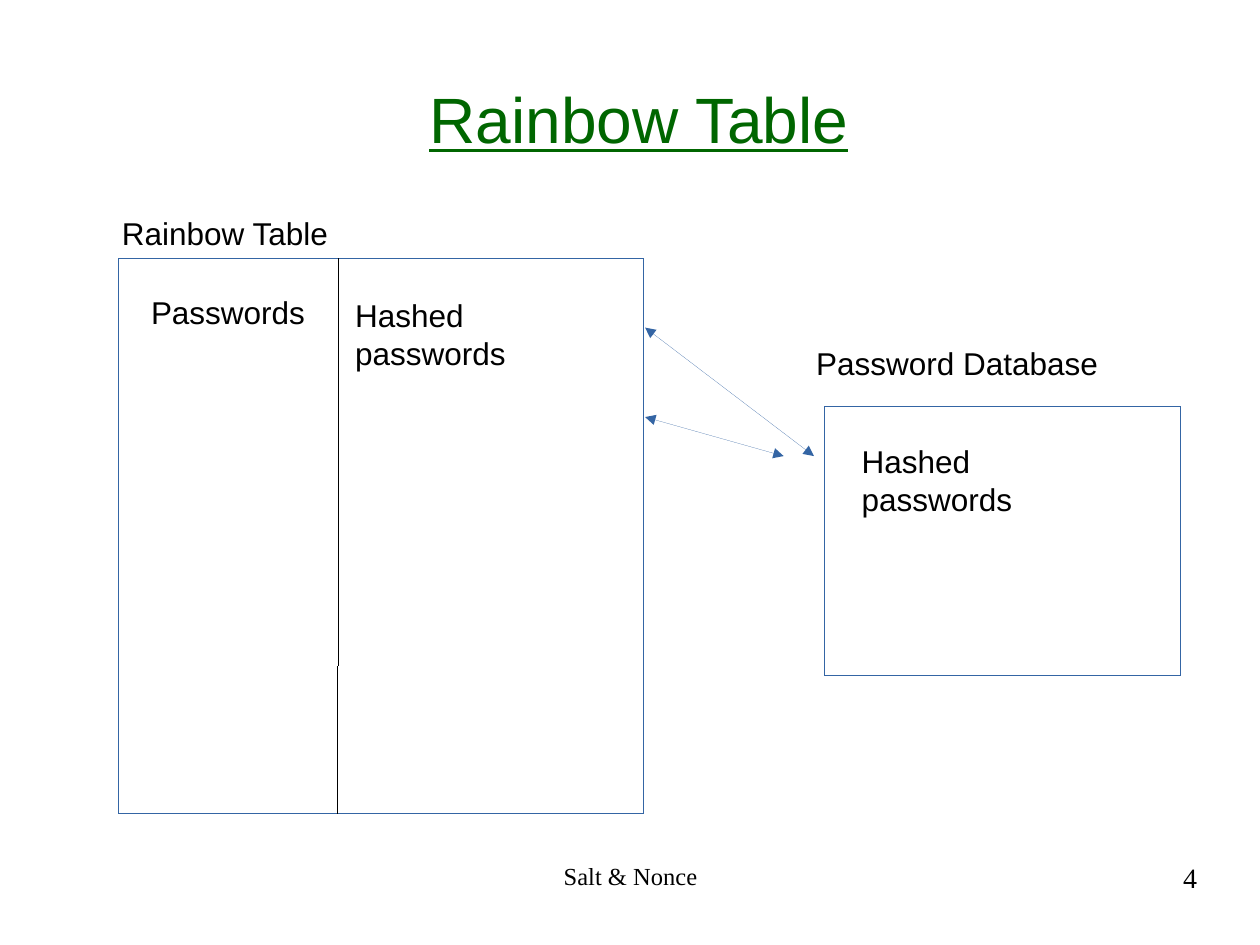
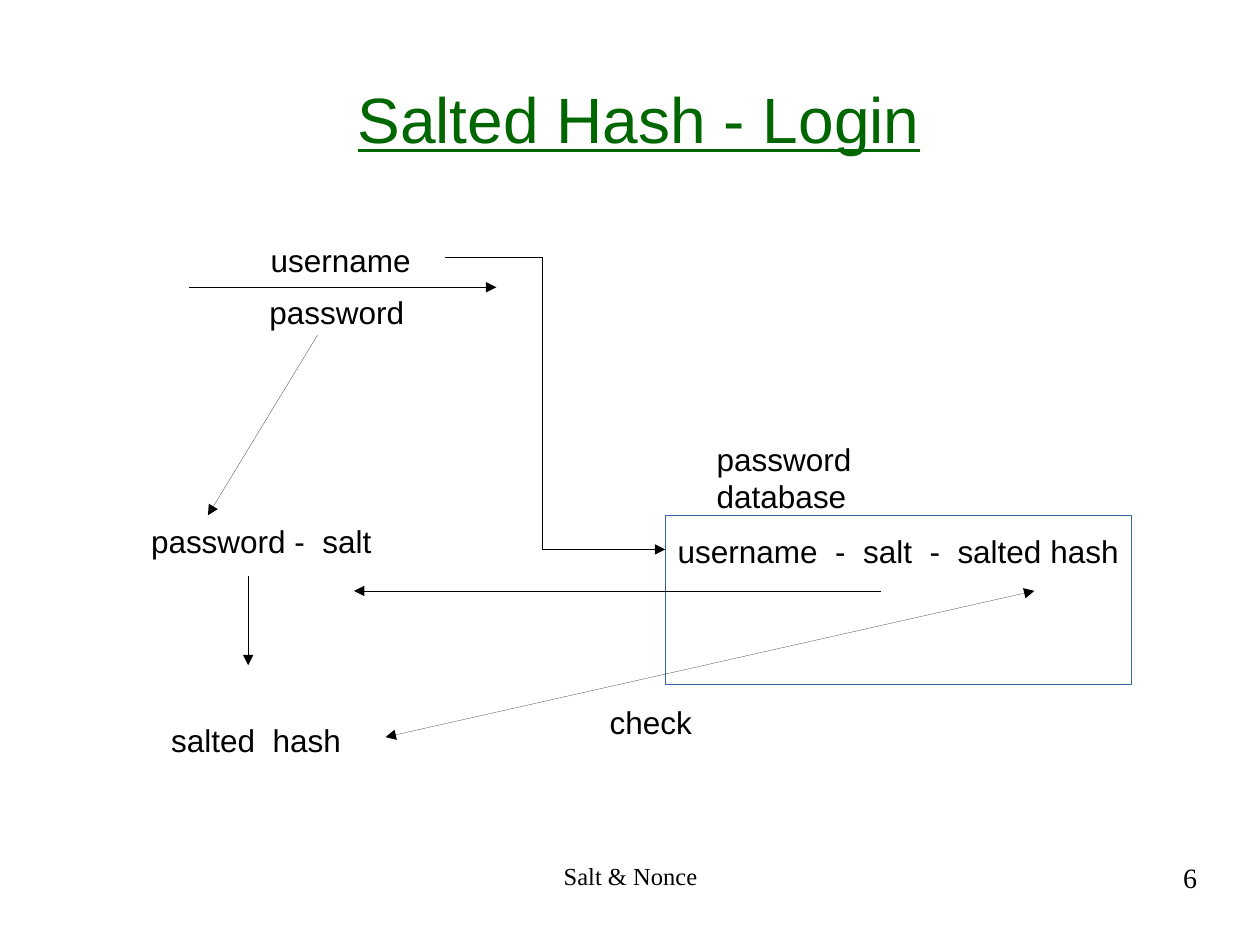
from collections import namedtuple

from lxml.etree import SubElement
from pptx import Presentation
from pptx.dml.color import RGBColor
from pptx.enum.shapes import MSO_CONNECTOR, MSO_SHAPE
from pptx.enum.text import MSO_ANCHOR, MSO_AUTO_SIZE, PP_ALIGN
from pptx.oxml.ns import qn
from pptx.util import Emu, Pt

PX = 9144
HAIRLINE = Emu(1)
GREEN = RGBColor(0x00, 0x66, 0x00)
BLUE = RGBColor(0x34, 0x65, 0xA4)
BLACK = RGBColor(0x00, 0x00, 0x00)
WHITE = RGBColor(0xFF, 0xFF, 0xFF)
SANS = "Arial"
SERIF = "Times New Roman"
TITLE_ONLY = 5

Box = namedtuple("Box", "left top width height")
TITLE_BOX = Box(50, 30, 914, 127)
FOOTER_BOX = Box(342, 683, 317, 52)
NUMBER_BOX = Box(717, 683, 233, 52)
RAINBOW_BOX = Box(94, 205, 417, 441)
HASHES_BOX = Box(654, 323, 283, 213)
LOGIN_BOX = Box(110, 186, 284, 419)
RECORDS_BOX = Box(528, 409, 370, 134)


def px(*lengths):
    """Turn lengths in px into EMU."""
    return [Emu(length * PX) for length in lengths]


def within(box, left, top, width=0, height=0):
    """Shift a box given relative to another one onto the slide."""
    return Box(box.left + left, box.top + top, width, height)


def format_text(frame, size, font, color, align=PP_ALIGN.LEFT):
    """Format every run of a text frame alike."""
    for paragraph in frame.paragraphs:
        paragraph.alignment = align
        for run in paragraph.runs:
            run.font.size = Pt(size)
            run.font.name = font
            run.font.color.rgb = color


def clear_margins(frame):
    """Remove the insets of a text frame."""
    frame.margin_left = frame.margin_right = 0
    frame.margin_top = frame.margin_bottom = 0


def add_label(slide, text, box, wrap=False):
    """Add a diagram label that grows with its text."""
    label = slide.shapes.add_textbox(*px(*box))
    frame = label.text_frame
    frame.text = text
    frame.word_wrap = wrap
    frame.auto_size = MSO_AUTO_SIZE.SHAPE_TO_FIT_TEXT
    format_text(frame, 18, SANS, BLACK)
    return label


def add_footer_text(slide, text, box, size, align):
    """Add one part of the footer."""
    frame = slide.shapes.add_textbox(*px(*box)).text_frame
    frame.text = text
    frame.word_wrap = True
    clear_margins(frame)
    format_text(frame, size, SERIF, BLACK, align)


def add_frame(slide, box, fill=None):
    """Add a rectangle with a blue hairline."""
    frame = slide.shapes.add_shape(MSO_SHAPE.RECTANGLE, *px(*box))
    frame.shadow.inherit = False
    if fill is None:
        frame.fill.background()
    else:
        frame.fill.solid()
        frame.fill.fore_color.rgb = fill
    frame.line.color.rgb = BLUE
    frame.line.width = HAIRLINE


def add_line(slide, start, end, color=BLACK, arrows=("tailEnd",), kind=MSO_CONNECTOR.STRAIGHT):
    """Add a hairline connector with arrowheads at the named ends."""
    line = slide.shapes.add_connector(kind, *px(*start[:2], *end[:2]))
    line.line.color.rgb = color
    line.line.width = HAIRLINE
    properties = line._element.spPr
    for arrow in arrows:
        SubElement(properties.find(qn("a:ln")), qn(f"a:{arrow}"), type="triangle")
    SubElement(properties, qn("a:effectLst"))
    return line


def bend_at(elbow, ratio):
    """Place the bend of an elbow connector at a share of its width."""
    geometry = elbow._element.spPr.find(qn("a:prstGeom"))
    guides = geometry.find(qn("a:avLst"))
    if guides is None:
        guides = SubElement(geometry, qn("a:avLst"))
    SubElement(guides, qn("a:gd"), name="adj1", fmla=f"val {round(ratio * 100000)}")


def add_base_slide(deck, title, number):
    """Add a slide with its title, footer and number."""
    slide = deck.slides.add_slide(deck.slide_layouts[TITLE_ONLY])
    heading = slide.shapes.title
    heading.left, heading.top, heading.width, heading.height = px(*TITLE_BOX)
    frame = heading.text_frame
    frame.text = title
    frame.auto_size = MSO_AUTO_SIZE.NONE
    frame.vertical_anchor = MSO_ANCHOR.MIDDLE
    clear_margins(frame)
    format_text(frame, 36.6, SANS, GREEN, PP_ALIGN.CENTER)
    frame.paragraphs[0].runs[0].font.underline = True
    add_footer_text(slide, "Salt & Nonce", FOOTER_BOX, 14, PP_ALIGN.CENTER)
    add_footer_text(slide, number, NUMBER_BOX, 16, PP_ALIGN.RIGHT)
    return slide


def draw_rainbow_table(slide, box):
    """Draw the two-column table of passwords and their hashes."""
    add_frame(slide, box)
    add_label(slide, "Rainbow Table", within(box, -7, -40, 190, 38))
    add_label(slide, "Passwords", within(box, 16, 23, 142, 38))
    add_label(slide, "Hashed passwords", within(box, 178, 25, 232, 66), wrap=True)
    add_line(slide, within(box, 175, 0), within(box, 174, box.height), arrows=())


def draw_password_database(slide, box):
    """Draw the database of hashed passwords."""
    add_frame(slide, box, WHITE)
    add_label(slide, "Password Database", within(box, -16, -55, 250, 38))
    add_label(slide, "Hashed passwords", within(box, 20, 23, 232, 66), wrap=True)


def draw_lookups(slide, table, database):
    """Draw the comparisons between the table and the database."""
    for table_y, gap in ((55, 8), (126, 32)):
        add_line(slide, within(table, table.width + 1, table_y), within(database, -gap, 39),
                 BLUE, ("headEnd", "tailEnd"))


def draw_login(slide, box):
    """Draw the steps from the typed login to the salted hash."""
    add_line(slide, within(box, 40, 42), within(box, 284, 42))
    add_label(slide, "username", within(box, 95, 0, 131, 38))
    add_label(slide, "password", within(box, 94, 42, 127, 38))
    add_line(slide, within(box, 142, 80), within(box, 55, 223))
    add_label(slide, "password -  salt", within(box, 0, 223, 195, 66))
    add_line(slide, within(box, 87, 271), within(box, 87, 342))
    add_label(slide, "salted  hash", within(box, 16, 381, 155, 38))


def draw_records(slide, box):
    """Draw the database of salted hashes and return its record."""
    add_label(slide, "password database", within(box, 31, -65, 236, 94), wrap=True)
    record = add_label(slide, "username  -  salt  -  salted hash", within(box, 0, 8, box.width, 38))
    add_frame(slide, box)
    return record


def draw_exchange(slide, login, records, record):
    """Draw the lookup of the user, the returned salt and the check."""
    lookup = add_line(slide, within(login, 243, 18), within(records, 0, 27), kind=MSO_CONNECTOR.ELBOW)
    lookup.end_connect(record, 1)
    bend_at(lookup, 0.44)
    add_line(slide, within(records, 171, 60), within(login, 171, 283))
    add_line(slide, within(login, 196, 399), within(records, 293, 60), arrows=("headEnd", "tailEnd"))
    add_label(slide, "check", within(login, 364, 367, 85, 38))


def build_rainbow_slide(deck):
    """Build the slide on attacking hashes with a rainbow table."""
    slide = add_base_slide(deck, "Rainbow Table", "4")
    draw_rainbow_table(slide, RAINBOW_BOX)
    draw_password_database(slide, HASHES_BOX)
    draw_lookups(slide, RAINBOW_BOX, HASHES_BOX)


def build_login_slide(deck):
    """Build the slide on logging in with a salted hash."""
    slide = add_base_slide(deck, "Salted Hash - Login", "6")
    draw_login(slide, LOGIN_BOX)
    record = draw_records(slide, RECORDS_BOX)
    draw_exchange(slide, LOGIN_BOX, RECORDS_BOX, record)


def main():
    """Build and save the deck."""
    deck = Presentation()
    deck.slide_width, deck.slide_height = px(1000, 750)
    build_rainbow_slide(deck)
    build_login_slide(deck)
    deck.save("out.pptx")


if __name__ == "__main__":
    main()
